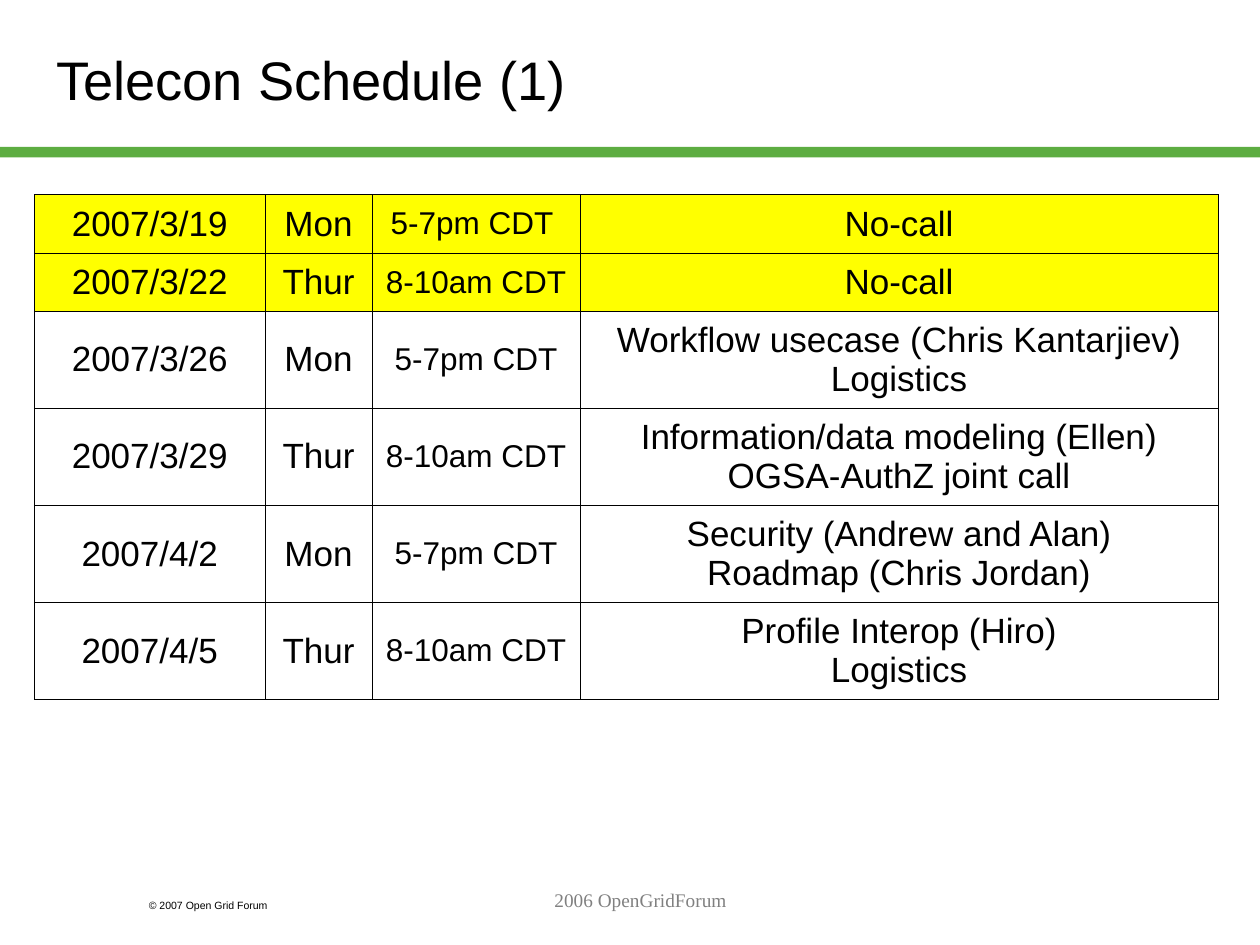
from lxml import etree
from pptx import Presentation
from pptx.dml.color import RGBColor
from pptx.enum.shapes import MSO_SHAPE
from pptx.enum.text import MSO_ANCHOR, PP_ALIGN
from pptx.oxml.ns import qn
from pptx.util import Pt

RECT = MSO_SHAPE.RECTANGLE
MIDDLE, TOP = MSO_ANCHOR.MIDDLE, MSO_ANCHOR.TOP
LEFT, CENTER = PP_ALIGN.LEFT, PP_ALIGN.CENTER

COLORS = {"green": "5DAD41", "yellow": "FFFF00", "white": "FFFFFF",
          "black": "000000", "gray": "808080"}

COL_WIDTHS = [132, 61, 119, 364.5]
COL_SIZES = [20, 20, 18, 20]
SHORT_ROW, TALL_ROW = 33.3, 55.45
SCHEDULE = [
    ("2007/3/19", "Mon", "5-7pm CDT ", ["No-call"]),
    ("2007/3/22", "Thur", "8-10am CDT", ["No-call"]),
    ("2007/3/26", "Mon", "5-7pm CDT",
     ["Workflow usecase (Chris Kantarjiev)", "Logistics"]),
    ("2007/3/29", "Thur", "8-10am CDT",
     ["Information/data modeling (Ellen)", "OGSA-AuthZ joint call"]),
    ("2007/4/2", "Mon", "5-7pm CDT",
     ["Security (Andrew and Alan)", "Roadmap (Chris Jordan)"]),
    ("2007/4/5", "Thur", "8-10am CDT", ["Profile Interop (Hiro)", "Logistics"]),
]


def rgb(name):
    return RGBColor.from_string(COLORS[name])


def write(tf, lines, size, align=LEFT, font="Arial", color="black"):
    for i, line in enumerate(lines):
        p = tf.paragraphs[0] if i == 0 else tf.add_paragraph()
        p.alignment = align
        p.space_before = Pt(0)
        r = p.add_run()
        r.text = line
        r.font.size = Pt(size)
        r.font.name = font
        r.font.color.rgb = rgb(color)


def set_borders(cell, color, width):
    """Must run before the cell fill, which follows the lines in the XML."""
    tcPr = cell._tc.get_or_add_tcPr()
    for side in ("lnL", "lnR", "lnT", "lnB"):
        ln = etree.SubElement(tcPr, qn(f"a:{side}"), w=str(Pt(width)))
        fill = etree.SubElement(ln, qn("a:solidFill"))
        etree.SubElement(fill, qn("a:srgbClr"), val=COLORS[color])


def add_title(s, x, y, w, h):
    sp = s.shapes.title
    sp.left, sp.top, sp.width, sp.height = Pt(x), Pt(y), Pt(w), Pt(h)
    tf = sp.text_frame
    tf.vertical_anchor = MIDDLE
    write(tf, ["Telecon Schedule (1)"], 31)


def add_rule(s, x, y, w, h):
    sp = s.shapes.add_shape(RECT, Pt(x), Pt(y), Pt(w), Pt(h))
    sp.shadow.inherit = False
    sp.fill.solid()
    sp.fill.fore_color.rgb = rgb("green")
    sp.line.fill.background()


def add_schedule(s, x, y):
    heights = [SHORT_ROW if len(row[-1]) == 1 else TALL_ROW for row in SCHEDULE]
    frame = s.shapes.add_table(len(SCHEDULE), len(COL_WIDTHS), Pt(x), Pt(y),
                               Pt(sum(COL_WIDTHS)), Pt(sum(heights)))
    table = frame.table
    table.first_row = table.horz_banding = False
    for col, width in zip(table.columns, COL_WIDTHS):
        col.width = Pt(width)
    for i, (row, height) in enumerate(zip(SCHEDULE, heights)):
        table.rows[i].height = Pt(height)
        no_call = row[-1] == ["No-call"]
        for j, value in enumerate(row):
            cell = table.cell(i, j)
            set_borders(cell, "black", 0.45)
            cell.fill.solid()
            cell.fill.fore_color.rgb = rgb("yellow" if no_call else "white")
            cell.vertical_anchor = MIDDLE
            lines = value if isinstance(value, list) else [value]
            write(cell.text_frame, lines, COL_SIZES[j], CENTER)


def add_note(s, x, y, w, h, text, size, **style):
    tf = s.shapes.add_textbox(Pt(x), Pt(y), Pt(w), Pt(h)).text_frame
    tf.word_wrap = True
    tf.vertical_anchor = TOP
    write(tf, [text], size, **style)


def main():
    prs = Presentation()
    prs.slide_width, prs.slide_height = Pt(720), Pt(540)
    s = prs.slides.add_slide(prs.slide_layouts[5])

    # Header
    add_rule(s, 0, 84, 720, 6)
    add_title(s, 25, 12.5, 641, 65.5)

    # Schedule
    add_schedule(s, 19.6, 111.3)

    # Footer
    add_note(s, 78, 510, 108, 14.5, "© 2007 Open Grid Forum", 6)
    add_note(s, 156, 504, 420, 36, "2006 OpenGridForum", 11,
             align=CENTER, font="Times New Roman", color="gray")

    prs.save("out.pptx")


if __name__ == "__main__":
    main()
